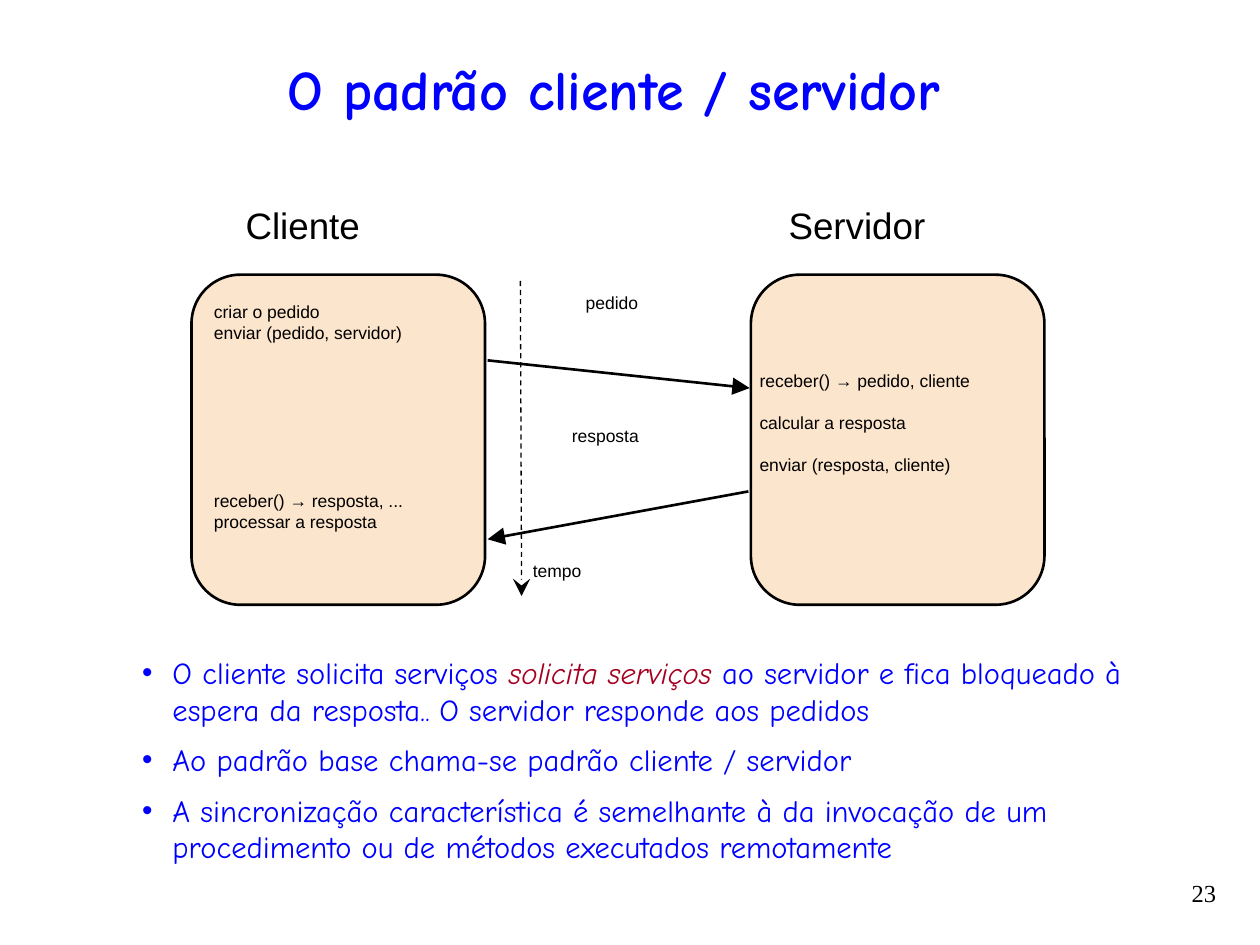
from lxml import etree
from pptx import Presentation
from pptx.dml.color import RGBColor
from pptx.enum.dml import MSO_LINE
from pptx.enum.shapes import MSO_CONNECTOR, MSO_SHAPE
from pptx.enum.text import MSO_ANCHOR, PP_ALIGN
from pptx.oxml.ns import qn
from pptx.util import Inches, Pt

BLACK = RGBColor(0x00, 0x00, 0x00)
BLUE = RGBColor(0x00, 0x00, 0xFF)
RED = RGBColor(0xA5, 0x00, 0x21)
PEACH = RGBColor(0xFC, 0xE5, 0xCD)
COMIC, ARIAL, TIMES = "Comic Neue", "Arial", "Times New Roman"

BULLETS = [
    [
        ("O cliente solicita serviços ", 17.5, False),
        ("solicita serviços", 17.5, True),
        (" ao servidor e fica bloqueado à espera da resposta.", 17.5, False),
        (". ", 16.5, False),
        ("O servidor responde aos pedidos", 17.5, False),
    ],
    [("Ao padrão base chama-se padrão cliente / servidor", 17.5, False)],
    [("A sincronização característica é semelhante à da invocação de um "
      "procedimento ou de métodos executados remotamente", 17.5, False)],
]
CLIENT_STEPS = [
    ("criar o pedido", 0),
    ("enviar (pedido, servidor)", 0),
    ("receber() → resposta, ...", 84),
    ("processar a resposta", 0),
]
SERVER_STEPS = [
    ("receber() → pedido, cliente", 0),
    ("calcular a resposta", 12),
    ("enviar (resposta, cliente)", 12),
]


def style(font, name, size, color, bold=False, italic=False):
    font.name, font.size = name, Pt(size)
    font.bold, font.italic = bold, italic
    font.color.rgb = color


def add_box(slide, left, top, width, height, inset=0.1):
    """Add an empty wrapping text box and return its text frame."""
    box = slide.shapes.add_textbox(
        Inches(left), Inches(top), Inches(width), Inches(height))
    tf = box.text_frame
    tf.word_wrap = True
    tf.margin_top = tf.margin_bottom = Inches(inset)
    return tf


def add_label(slide, box, text, name=ARIAL, size=10, color=BLACK,
              bold=False, align=PP_ALIGN.LEFT, inset=0.1):
    tf = add_box(slide, *box, inset=inset)
    p = tf.paragraphs[0]
    p.text, p.alignment = text, align
    style(p.runs[0].font, name, size, color, bold)
    return tf


def add_steps(slide, box, steps):
    """Write one line per step, each with its gap above in points."""
    tf = add_box(slide, *box)
    for i, (text, gap) in enumerate(steps):
        p = tf.paragraphs[0] if i == 0 else tf.add_paragraph()
        p.text = text
        p.line_spacing = Pt(12)
        p.space_before = Pt(gap)
        style(p.runs[0].font, ARIAL, 10, BLACK)


def add_arrow(slide, start, end, width=1.5, head="triangle", dash=None):
    line = slide.shapes.add_connector(
        MSO_CONNECTOR.STRAIGHT, *(Inches(v) for v in start + end))
    line.line.color.rgb = BLACK
    line.line.width = Pt(width)
    if dash is not None:
        line.line.dash_style = dash
    ln = line.line._get_or_add_ln()
    etree.SubElement(ln, qn("a:tailEnd"), type=head, w="lg", len="lg")
    etree.SubElement(line._element.spPr, qn("a:effectLst"))


def add_role(slide, left, top, width, height):
    sp = slide.shapes.add_shape(
        MSO_SHAPE.FLOWCHART_ALTERNATE_PROCESS,
        Inches(left), Inches(top), Inches(width), Inches(height))
    sp.shadow.inherit = False
    sp.fill.solid()
    sp.fill.fore_color.rgb = PEACH
    sp.line.color.rgb = BLACK
    sp.line.width = Pt(1.5)


def add_diagram(slide, left, top, width, height):
    role_width, role_top = 2.33, top + 0.67
    role_height = height - 0.67
    server_left = left + width - role_width
    for x in (left, server_left):
        add_role(slide, x, role_top, role_width, role_height)
    add_label(slide, (left + 0.33, top, 2.05, 0.39), "Cliente", size=21)
    add_label(slide, (server_left + 0.2, top, 2.05, 0.39), "Servidor", size=21)
    add_steps(slide, (left + 0.08, top + 0.78, 2.16, 2.32), CLIENT_STEPS)
    add_steps(slide, (server_left - 0.03, top + 1.33, 2.57, 1.11), SERVER_STEPS)

    client_edge, server_edge = left + role_width + 0.02, server_left - 0.02
    add_arrow(slide, (client_edge, top + 1.35), (server_edge + 0.01, top + 1.57))
    add_arrow(slide, (server_edge, top + 2.39), (client_edge, top + 2.77))
    time_x = left + 2.61
    add_arrow(slide, (time_x, top + 0.72), (time_x + 0.01, top + 3.22),
              width=0.75, head="stealth", dash=MSO_LINE.DASH)
    for text, dx, dy in (("pedido", 0.42, 0.72), ("resposta", 0.31, 1.78),
                         ("tempo", 0, 2.85)):
        add_label(slide, (time_x + dx, top + dy, 0.95, 0.39), text)


def set_bullet(p):
    pPr = p._p.get_or_add_pPr()
    pPr.set("marL", str(Inches(0.24)))
    pPr.set("indent", str(Inches(-0.26)))
    color = etree.SubElement(pPr, qn("a:buClr"))
    etree.SubElement(color, qn("a:srgbClr"), val=str(BLUE))
    etree.SubElement(pPr, qn("a:buSzPct"), val="97000")
    etree.SubElement(pPr, qn("a:buFont"), typeface=ARIAL)
    etree.SubElement(pPr, qn("a:buChar"), char="•")


def add_bullets(slide, *box):
    tf = add_box(slide, *box, inset=0.05)
    for i, parts in enumerate(BULLETS):
        p = tf.paragraphs[0] if i == 0 else tf.add_paragraph()
        set_bullet(p)
        p.line_spacing = Pt(21)
        p.space_before = Pt(7.8 if i else 0)
        for text, size, emphasis in parts:
            r = p.add_run()
            r.text = text
            style(r.font, COMIC, size, RED if emphasis else BLUE,
                  italic=emphasis)


def add_title(slide, *box):
    tf = add_label(slide, box, "O padrão cliente / servidor", COMIC, 32, BLUE,
                   bold=True, align=PP_ALIGN.CENTER, inset=0.05)
    tf.vertical_anchor = MSO_ANCHOR.MIDDLE


def main():
    prs = Presentation()
    prs.slide_width, prs.slide_height = Inches(10), Inches(7.5)
    slide = prs.slides.add_slide(prs.slide_layouts[6])
    add_title(slide, 0.34, 0.25, 9.07, 0.9)
    add_diagram(slide, 1.52, 1.51, 6.77, 3.29)
    add_bullets(slide, 1.03, 5.14, 8.38, 2.15)
    add_label(slide, (8.75, 6.92, 1, 0.42), "23", TIMES, 14,
              align=PP_ALIGN.RIGHT, inset=0.05)
    prs.save("out.pptx")


if __name__ == "__main__":
    main()
